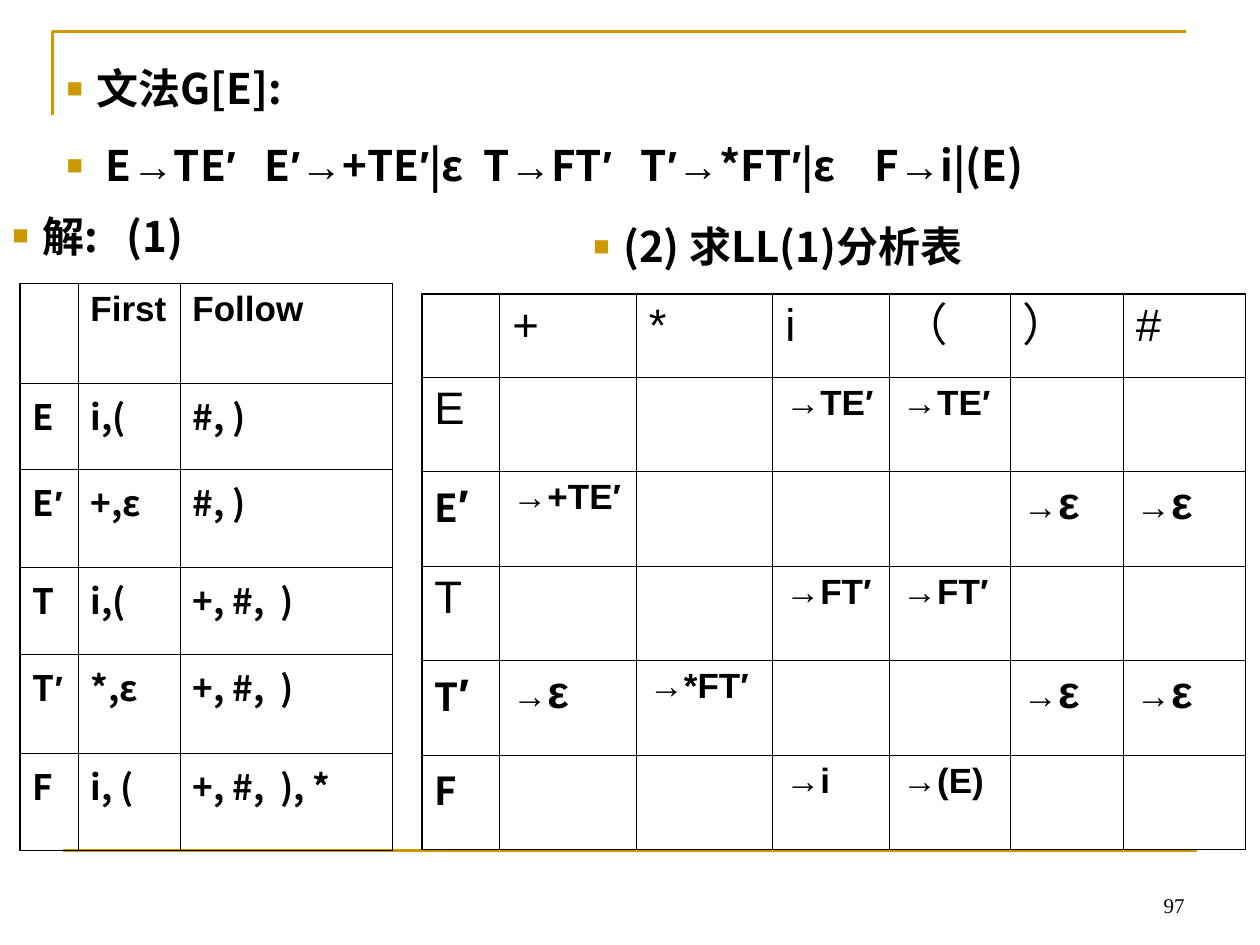
import itertools

import pptx
import pptx.dml.color
import pptx.enum.shapes
import pptx.enum.text
import pptx.oxml
import pptx.oxml.ns
import pptx.util

Pt = pptx.util.Pt
COLOURS = {"ink": "000000", "gold": "CC9900"}
SANS, CJK, SERIF = "Arial", "Noto Sans CJK SC", "Times New Roman"
THICK, THIN = 1.08, 0.45


def element(xml):
    """Make an element whose root lies in the a: namespace."""
    head, gap, rest = xml.partition(" ")
    return pptx.oxml.parse_xml(f"{head} {pptx.oxml.ns.nsdecls('a')} {rest}")


def mixed(text, size, symbol_size=None):
    """Split bold text into symbol runs and letter runs."""
    return [
        ("".join(group), symbol_size or size, SANS, True)
        if symbol
        else ("".join(group), size, CJK, True)
        for symbol, group in itertools.groupby(text, lambda mark: mark in "→′")
    ]


class SlideStyle:
    """Holds the colours and fonts and draws on the current slide."""

    def __init__(self, slide):
        self.slide = slide

    def colour(self, name):
        return pptx.dml.color.RGBColor.from_string(COLOURS[name])

    def outline(self, shape):
        shape.line.color.rgb = self.colour("gold")
        shape.line.width = Pt(1.5)

    def corner(self, left, top, right, bottom):
        builder = self.slide.shapes.build_freeform(Pt(left), Pt(bottom))
        builder.add_line_segments([(Pt(left), Pt(top)), (Pt(right), Pt(top))], close=False)
        frame = builder.convert_to_shape()
        frame.shadow.inherit = False
        frame.fill.background()
        self.outline(frame)

    def rule(self, left, right, y):
        rule = self.slide.shapes.add_connector(
            pptx.enum.shapes.MSO_CONNECTOR.STRAIGHT, Pt(left), Pt(y), Pt(right), Pt(y)
        )
        self.outline(rule)
        rule._element.spPr.append(element("<a:effectLst />"))

    def add_runs(self, paragraph, runs):
        for text, size, face, bold in runs:
            run = paragraph.add_run()
            run.text = text
            run.font.size = Pt(size)
            run.font.name = face
            run.font.bold = bold
            run.font.color.rgb = self.colour("ink")
            run.font._element.append(element(f'<a:ea typeface="{face}"/>'))

    def frame(self, left, top, width, height):
        box = self.slide.shapes.add_textbox(Pt(left), Pt(top), Pt(width), Pt(height))
        box.text_frame.word_wrap = True
        return box.text_frame

    def bullets(self, left, top, width, height, lines):
        frame = self.frame(left, top, width, height)
        for index, line in enumerate(lines):
            paragraph = frame.add_paragraph() if index else frame.paragraphs[0]
            properties = paragraph._p.get_or_add_pPr()
            properties.set("marL", str(Pt(17)))
            properties.set("indent", str(-Pt(17)))
            for xml in (
                f'<a:buClr ><a:srgbClr val="{COLOURS["gold"]}"/></a:buClr>',
                '<a:buSzPct val="65000"/>',
                '<a:buFont typeface="Arial"/>',
                '<a:buChar char="■"/>',
            ):
                properties.append(element(xml))
            if index:
                paragraph.space_before = Pt(15)
            self.add_runs(paragraph, mixed(line, 24))

    def page_number(self, left, top, width, height, number):
        frame = self.frame(left, top, width, height)
        frame.vertical_anchor = pptx.enum.text.MSO_ANCHOR.BOTTOM
        frame.paragraphs[0].alignment = pptx.enum.text.PP_ALIGN.RIGHT
        self.add_runs(frame.paragraphs[0], [(number, 12, SERIF, False)])

    def borders(self, cell, outer):
        properties = cell._tc.get_or_add_tcPr()
        for index, side in enumerate("LRTB"):
            width = Pt(THICK if side in outer else THIN)
            properties.insert(index, element(
                f'<a:ln{side} w="{width}"><a:solidFill>'
                f'<a:srgbClr val="{COLOURS["ink"]}"/></a:solidFill></a:ln{side}>'
            ))

    def table(self, left, top, widths, heights, rows, styled):
        grid = self.slide.shapes.add_table(
            len(heights), len(widths), Pt(left), Pt(top), Pt(sum(widths)), Pt(sum(heights))
        ).table
        grid.first_row = grid.horz_banding = False
        for column, width in zip(grid.columns, widths):
            column.width = Pt(width)
        for row, height in zip(grid.rows, heights):
            row.height = Pt(height)
        last_row, last_column = len(heights) - 1, len(widths) - 1
        for r, texts in enumerate(rows):
            for c, text in enumerate(texts):
                cell = grid.cell(r, c)
                cell.fill.background()
                edges = {"L": c == 0, "R": c == last_column, "T": r == 0, "B": r == last_row}
                self.borders(cell, [side for side, outer in edges.items() if outer])
                if text:
                    self.add_runs(cell.text_frame.paragraphs[0], styled(r, c, text))


def set_runs(row, column, text):
    """Style a cell of the First and Follow table."""
    return mixed(text, 20) if row else [(text, 20, SANS, True)]


def parsing_runs(row, column, text):
    """Style a cell of the LL(1) parsing table."""
    if row == 0 or (column == 0 and text in ("E", "T")):
        return [(text, 26, SANS, False)]
    if column == 0:
        return mixed(text, 22, 26)
    if text == "→ε":
        return [("→", 20, SANS, True), ("ε", 26, SANS, True)]
    return [(text, 20, SANS, True)]


def main():
    deck = pptx.Presentation()
    deck.slide_width, deck.slide_height = Pt(720), Pt(540)
    page = SlideStyle(deck.slides.add_slide(deck.slide_layouts[6]))
    page.corner(30, 18, 678, 66)
    page.rule(36, 684, 486)
    page.page_number(516, 492, 168, 36, "97")
    page.bullets(31, 32.4, 646.5, 108.7, [
        "文法G[E]:",
        " E→TE′   E′→+TE′|ε  T→FT′   T′→*FT′|ε    F→i|(E)",
    ])
    page.bullets(0, 116.6, 453.6, 36, ["解:   (1)"])
    first_follow = [
        ["", "First", "Follow"],
        ["E", "i,(", "#, )"],
        ["E′", "+,ε", "#, )"],
        ["T", "i,(", "+, #,  )"],
        ["T′", "*,ε", "+, #,  )"],
        ["F", "i, (", "+, #,  ), *"],
    ]
    page.table(11.5, 162, [33, 58.3, 121.5], [56.9, 49.5, 56, 49.5, 56.7, 55.4],
               first_follow, set_runs)
    page.bullets(332, 122.4, 334.8, 36, ["(2) 求LL(1)分析表"])
    parsing = [
        ["", "+", "*", "i", "（", "）", "#"],
        ["E", "", "", "→TE′", "→TE′", "", ""],
        ["E′", "→+TE′", "", "", "", "→ε", "→ε"],
        ["T", "", "", "→FT′", "→FT′", "", ""],
        ["T′", "→ε", "→*FT′", "", "", "→ε", "→ε"],
        ["F", "", "", "→i", "→(E)", "", ""],
    ]
    page.table(241, 168, [44.6, 78, 78, 66.8, 69, 64.6, 69.8], [47.5] + [54] * 5,
               parsing, parsing_runs)
    deck.save("out.pptx")


if __name__ == "__main__":
    main()
